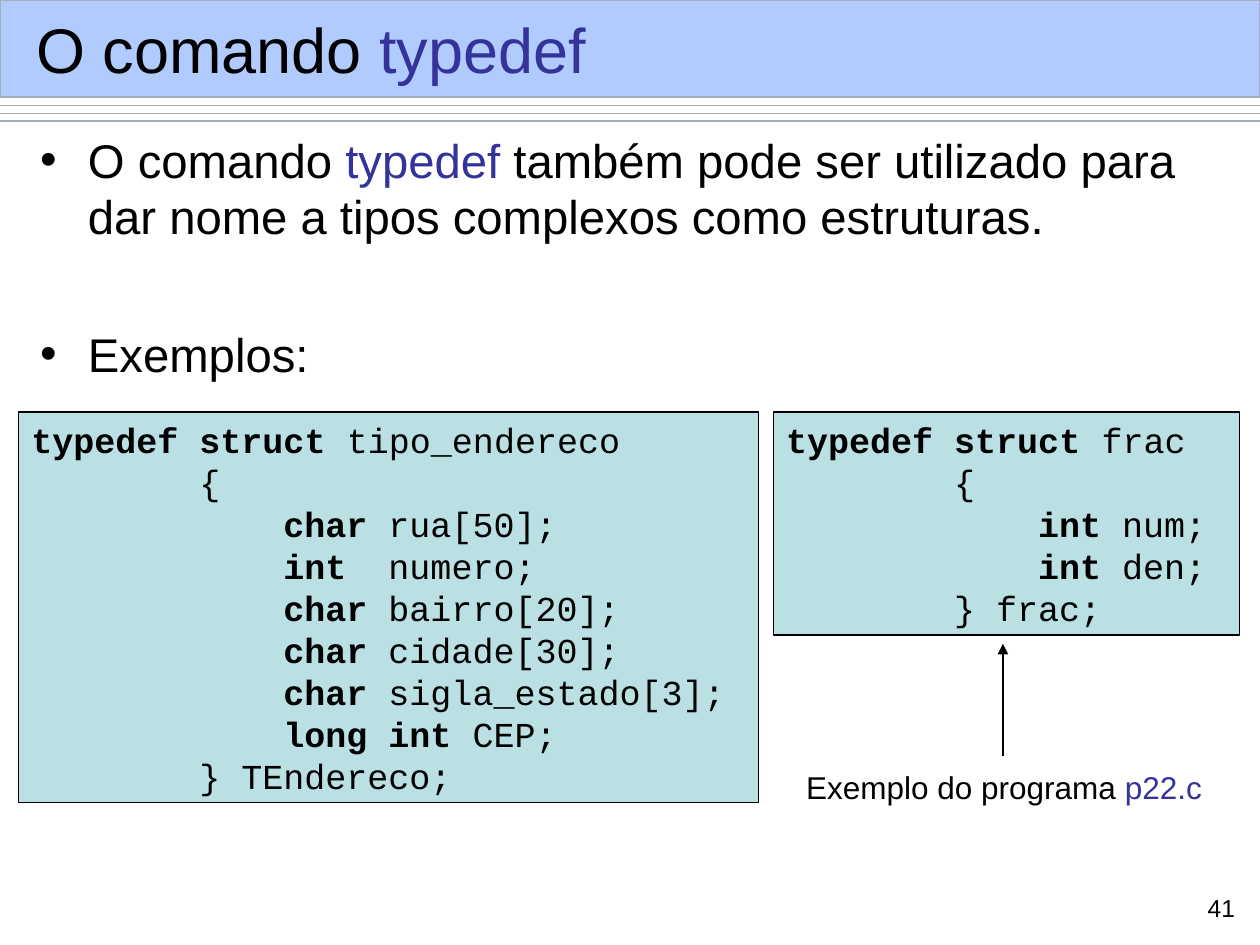
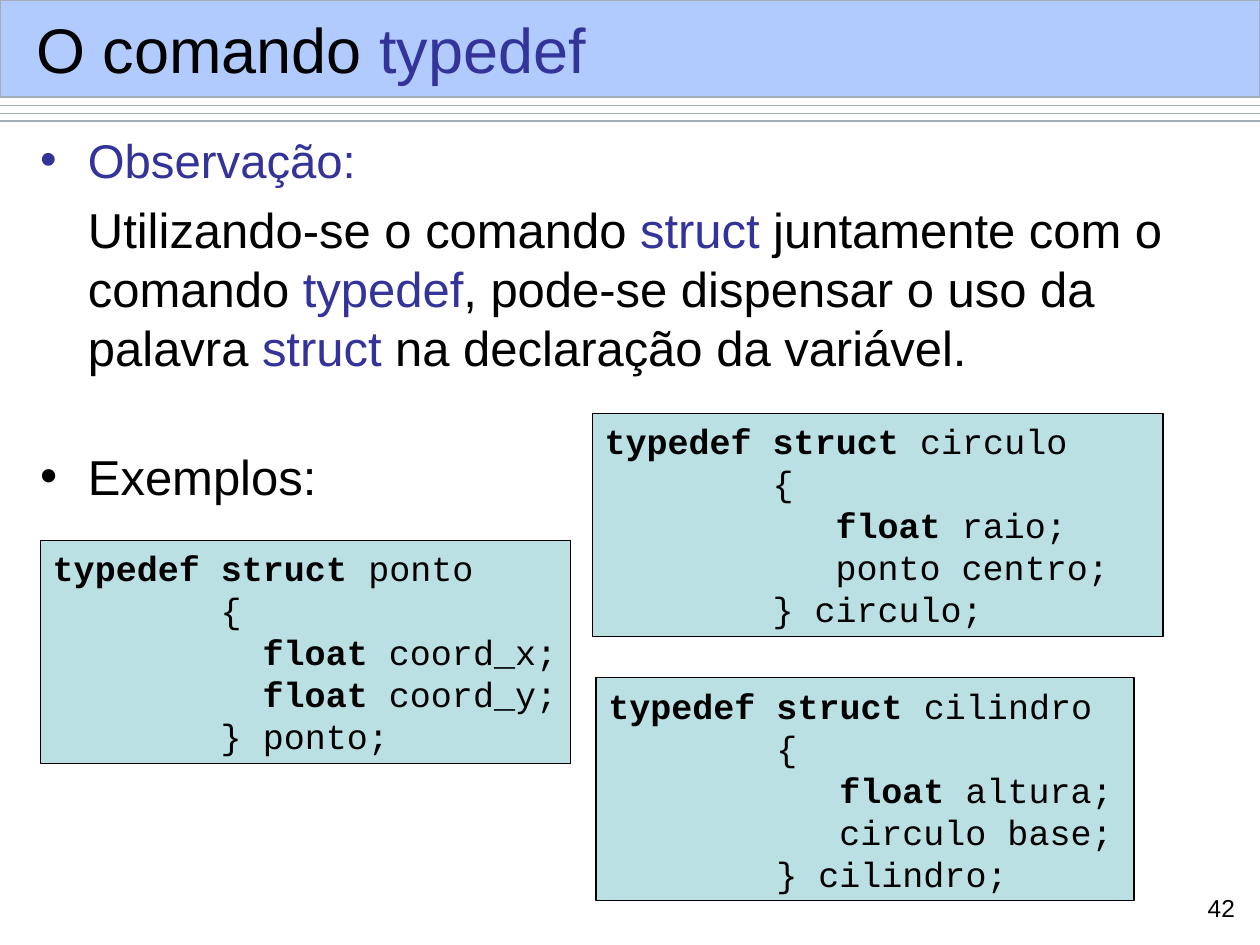
import pptx
import pptx.util
import pptx.dml.color
import pptx.enum.shapes
import pptx.enum.text
import pptx.oxml
import pptx.oxml.ns
from pptx.util import Inches

COLORS = {"text": "000000", "accent": "333399", "band": "6699FF",
          "rule": "A3AEB7", "code": "BBE0E3"}
BODY_FONT, CODE_FONT = "Arial", "Courier New"
CODE_SIZE = 20
CODE_COLUMN = CODE_SIZE * 0.6 / 72  # width of one Courier character in inches
LINE_FACTOR = 1.2
BULLET_INDENT = Inches(0.38)

# Text between bars is emphasized: accent colour in prose, bold in code.
# Body paragraphs: marked text, size, space before, bullet colour or None.
# Code boxes: left, top, width, height, lines as (column, marked text).
SLIDES = [
    {
        "number": 41,
        "body": [
            ("O comando |typedef| também pode ser utilizado para "
             "dar nome a tipos complexos como estruturas.", 27, 6.8, "text"),
            ("Exemplos:", 27, 46, "text"),
        ],
        "code": [
            (0.15, 3.27, 5.87, 3.1, [
                (0, "|typedef struct| tipo_endereco"), (8, "{"),
                (12, "|char| rua[50];"), (12, "|int|  numero;"),
                (12, "|char| bairro[20];"), (12, "|char| cidade[30];"),
                (12, "|char| sigla_estado[3];"), (12, "|long int| CEP;"),
                (8, "} TEndereco;")]),
            (6.14, 3.27, 3.7, 1.77, [
                (0, "|typedef struct| frac"), (8, "{"),
                (12, "|int| num;"), (12, "|int| den;"), (8, "} frac;")]),
        ],
    },
    {
        "number": 42,
        "body": [
            ("|Observação:|", 27, 6.8, "accent"),
            ("Utilizando-se o comando |struct| juntamente com o comando "
             "|typedef|, pode-se dispensar o uso da palavra |struct| na "
             "declaração da variável.", 28, 7, None),
            ("Exemplos:", 28, 40, "text"),
        ],
        "code": [
            (0.32, 4.29, 4.21, 1.77, [
                (0, "|typedef struct| ponto"), (8, "{"),
                (10, "|float| coord_x;"), (10, "|float| coord_y;"),
                (8, "} ponto;")]),
            (4.7, 3.28, 4.53, 1.77, [
                (0, "|typedef struct| circulo"), (8, "{"),
                (11, "|float| raio;"), (11, "ponto centro;"),
                (8, "} circulo;")]),
            (4.73, 5.38, 4.27, 1.77, [
                (0, "|typedef struct| cilindro"), (8, "{"),
                (11, "|float| altura;"), (11, "circulo base;"),
                (8, "} cilindro;")]),
        ],
    },
]


def rgb(name):
    return pptx.dml.color.RGBColor.from_string(COLORS[name])


def write(text_frame, index, marked_text, size, is_code=False):
    """Fill paragraph number index with marked text and return the paragraph."""
    text_frame.word_wrap = True
    paragraph = text_frame.add_paragraph() if index else text_frame.paragraphs[0]
    paragraph.alignment = pptx.enum.text.PP_ALIGN.LEFT
    paragraph.line_spacing = pptx.util.Pt(size * LINE_FACTOR)
    for position, piece in enumerate(marked_text.split("|")):
        if not piece:
            continue
        emphasized = position % 2 == 1
        run = paragraph.add_run()
        run.text = piece
        run.font.name = CODE_FONT if is_code else BODY_FONT
        run.font.size = pptx.util.Pt(size)
        run.font.bold = is_code and emphasized
        run.font.color.rgb = rgb("accent" if emphasized and not is_code else "text")
    return paragraph


presentation = pptx.Presentation()
presentation.slide_width = Inches(10)
presentation.slide_height = Inches(7.5)
rectangle = pptx.enum.shapes.MSO_SHAPE.RECTANGLE
straight = pptx.enum.shapes.MSO_CONNECTOR.STRAIGHT
qn = pptx.oxml.ns.qn

for content in SLIDES:
    slide = presentation.slides.add_slide(presentation.slide_layouts[6])
    shapes = slide.shapes
    connectors = []

    # Title band and the three rules below it
    for y in (0.84, 0.9, 0.96):
        rule = shapes.add_connector(straight, 0, Inches(y), Inches(10), Inches(y))
        rule.line.color.rgb = rgb("rule")
        connectors.append(rule)
    band = shapes.add_shape(rectangle, 0, 0, Inches(10), Inches(0.77))
    band.shadow.inherit = False
    band.fill.solid()
    band.fill.fore_color.rgb = rgb("band")
    band_color = band._element.spPr.find(".//" + qn("a:srgbClr"))
    band_color.append(pptx.oxml.parse_xml(
        f'<a:alpha {pptx.oxml.ns.nsdecls("a")} val="50000"/>'))
    band.line.color.rgb = rgb("rule")
    band.line.width = pptx.util.Pt(0.75)

    # Body paragraphs
    body = shapes.add_textbox(Inches(0.22), Inches(0.99), Inches(9.57), Inches(6.24))
    for index, (text, size, space_before, bullet) in enumerate(content["body"]):
        paragraph = write(body.text_frame, index, text, size)
        paragraph.space_before = pptx.util.Pt(space_before)
        properties = paragraph._p.get_or_add_pPr()
        properties.set("marL", str(BULLET_INDENT))
        properties.set("indent", str(-BULLET_INDENT if bullet else 0))
        if bullet:
            namespace = pptx.oxml.ns.nsdecls("a")
            for bullet_xml in (
                    f'<a:buClr {namespace}><a:srgbClr val="{COLORS[bullet]}"/></a:buClr>',
                    f'<a:buFont {namespace} typeface="{BODY_FONT}"/>',
                    f'<a:buChar {namespace} char="•"/>'):
                properties.append(pptx.oxml.parse_xml(bullet_xml))

    # Code boxes, indented by character columns
    for left, top, width, height, lines in content["code"]:
        box = shapes.add_shape(rectangle, Inches(left), Inches(top),
                               Inches(width), Inches(height))
        box.shadow.inherit = False
        box.fill.solid()
        box.fill.fore_color.rgb = rgb("code")
        box.line.color.rgb = rgb("text")
        box.line.width = pptx.util.Pt(0.75)
        box.text_frame.vertical_anchor = pptx.enum.text.MSO_ANCHOR.TOP
        for index, (column, text) in enumerate(lines):
            paragraph = write(box.text_frame, index, text, CODE_SIZE, is_code=True)
            paragraph._p.get_or_add_pPr().set(
                "marL", str(Inches(column * CODE_COLUMN)))

    # Program reference pointing at the fraction type
    if content["number"] == 41:
        arrow = shapes.add_connector(straight, Inches(7.96), Inches(6),
                                     Inches(7.96), Inches(5.11))
        arrow.line.color.rgb = rgb("text")
        connectors.append(arrow)
        arrow.line._get_or_add_ln().append(pptx.oxml.parse_xml(
            f'<a:tailEnd {pptx.oxml.ns.nsdecls("a")} type="triangle"/>'))
        label = shapes.add_textbox(Inches(6.3), Inches(6.05), Inches(3.34), Inches(0.4))
        write(label.text_frame, 0, "Exemplo do programa |p22.c|", 18)

    for connector in connectors:
        connector.line.width = pptx.util.Pt(0.75)
        connector._element.spPr.append(pptx.oxml.parse_xml(
            f'<a:effectLst {pptx.oxml.ns.nsdecls("a")}/>'))

    # Title and page number
    title = shapes.add_textbox(Inches(0.19), Inches(0.09), Inches(9.64), Inches(0.59))
    title.text_frame.vertical_anchor = pptx.enum.text.MSO_ANCHOR.MIDDLE
    write(title.text_frame, 0, "O comando |typedef|", 36)
    page = shapes.add_textbox(Inches(9.38), Inches(7.04), Inches(0.52), Inches(0.35))
    paragraph = write(page.text_frame, 0, str(content["number"]), 14)
    paragraph.alignment = pptx.enum.text.PP_ALIGN.RIGHT

presentation.save("out.pptx")
